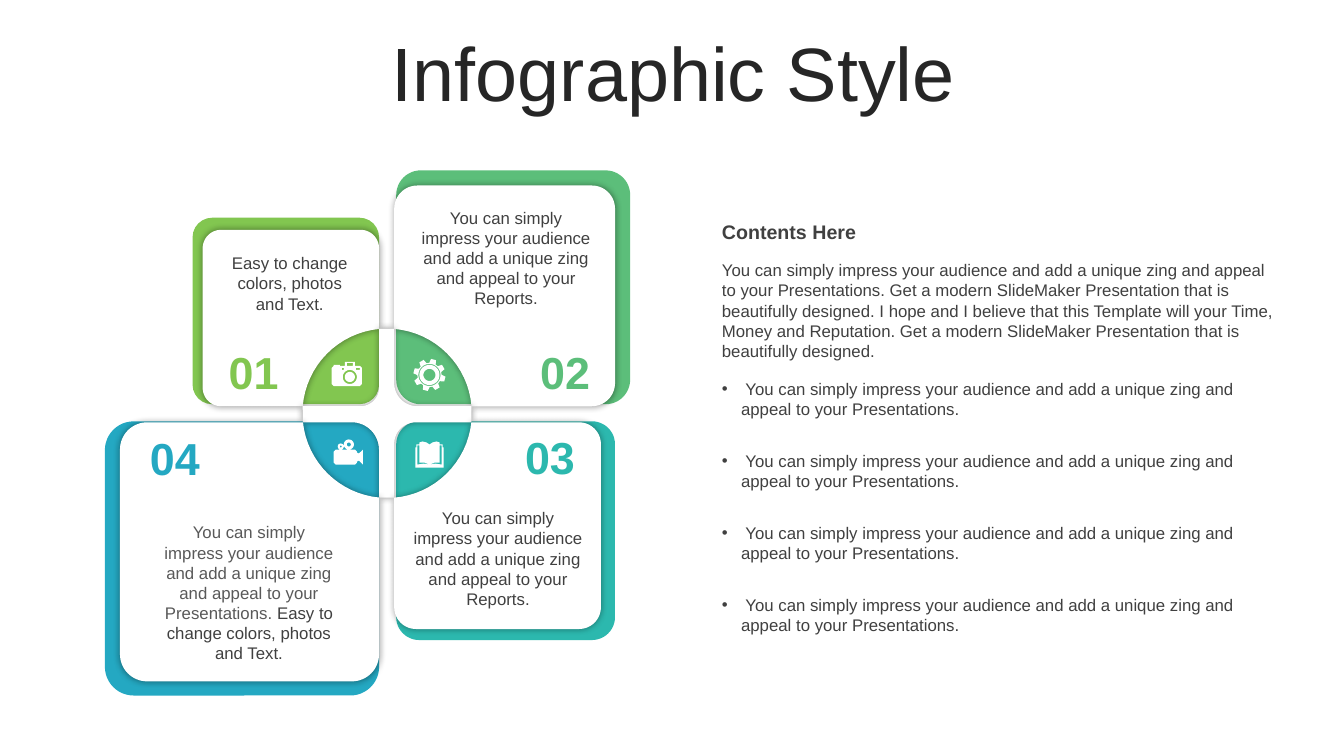
from math import atan2, cos, pi, radians, sin, sqrt

from lxml.etree import SubElement
from pptx import Presentation
from pptx.dml.color import RGBColor as RGB
from pptx.enum.shapes import MSO_SHAPE as SHAPE
from pptx.enum.text import MSO_ANCHOR as ANCHOR, MSO_AUTO_SIZE as AUTO, PP_ALIGN as ALIGN
from pptx.oxml.ns import qn
from pptx.util import Pt

PX = 9144
COLORS = {
    "title": "262626", "text": "404040", "soft": "595959", "white": "FFFFFF", "black": "000000",
    "01": "82C650", "02": "5CBE7A", "03": "2CB8AE", "04": "24A8C2",
}
CORNER = 0.105
HUB_X, HUB_Y, HUB_R = 384, 410, 84
INSET = (12, 5, 12, 5)

REPORTS = "You can simply impress your audience and add a unique zing and appeal to your Reports."
PRESENTATIONS = "You can simply impress your audience and add a unique zing and appeal to your Presentations."
EASY = "Easy to change colors, photos and Text."
INTRO = (
    PRESENTATIONS + " Get a modern SlideMaker Presentation that is beautifully designed. "
    "I hope and I believe that this Template will your Time, Money and Reputation. "
    "Get a modern SlideMaker Presentation that is beautifully designed."
)

PANELS = {
    "01": dict(side=(-1, -1), tile=185, card=175, number=(216, 342), box=(216, 246, 143, 71),
               runs=[(EASY, "text")]),
    "02": dict(side=(1, -1), tile=232, card=219, number=(525, 342), box=(407, 201, 190, 111),
               runs=[(REPORTS, "text")]),
    "03": dict(side=(1, 1), tile=217, card=205, number=(510, 426), box=(399, 499, 190, 111),
               runs=[(REPORTS, "text")]),
    "04": dict(side=(-1, 1), tile=272, card=257, number=(138, 427), box=(152, 513, 190, 151),
               runs=[(PRESENTATIONS + " ", "soft"), (EASY, "text")]),
}
CUT_CORNER = {(1, 1): 0, (-1, 1): 1, (-1, -1): 2, (1, -1): 3}


def arc(cx, cy, radius, start, end, steps=16):
    angles = [start + (end - start) * i / steps for i in range(steps + 1)]
    return [(cx + radius * cos(a), cy + radius * sin(a)) for a in angles]


def circle(cx, cy, radius):
    return arc(cx, cy, radius, 0, 2 * pi, 32)[:-1]


def rect(x, y, w, h):
    return [(x, y), (x + w, y), (x + w, y + h), (x, y + h)]


def square(side, inner_x, inner_y, size):
    x = inner_x if side[0] > 0 else inner_x - size
    y = inner_y if side[1] > 0 else inner_y - size
    return x, y, size, size


def card_outline(side, size):
    inner_x = 391 if side[0] > 0 else 376
    inner_y = 419 if side[1] > 0 else 403
    x, y, w, h = square(side, inner_x, inner_y, size)
    r = CORNER * size
    centres = [(x + r, y + r), (x + w - r, y + r), (x + w - r, y + h - r), (x + r, y + h - r)]
    corners = [arc(cx, cy, r, pi + i * pi / 2, pi + (i + 1) * pi / 2)
               for i, (cx, cy) in enumerate(centres)]
    dx, dy = inner_x - HUB_X, inner_y - HUB_Y
    on_vertical = atan2(side[1] * sqrt(HUB_R ** 2 - dx ** 2), dx)
    on_horizontal = atan2(dy, side[0] * sqrt(HUB_R ** 2 - dy ** 2))
    ends = (on_vertical, on_horizontal) if side[0] == side[1] else (on_horizontal, on_vertical)
    bite = arc(HUB_X, HUB_Y, HUB_R, *ends)
    cut = CUT_CORNER[side]
    hub_part = [bite[-1]] + corners[cut][::-1] + [bite[0]]
    corners[cut] = bite
    return sum(corners, []), hub_part


def gear(cx, cy, teeth=8):
    outline = []
    for i in range(teeth):
        for offset, radius in ((-16, 12), (-9, 16), (9, 16), (16, 12)):
            a = radians(i * 360 / teeth + 15 + offset)
            outline.append((cx + radius * cos(a), cy + radius * sin(a)))
    return [outline] + [circle(cx, cy, r) for r in (11, 10, 6)]


def book(spine=426):
    half = [(426, 441), (429, 439), (433, 438), (436, 439), (436, 441), (439, 441),
            (439, 444), (440, 444), (440, 464)]
    page = [(436, 442), (438, 442), (438, 461), (432, 460), (426, 461), (431, 459), (436, 459)]

    def mirror(points):
        return [(2 * spine - x, y) for x, y in points]

    return [half + mirror(half)[::-1], page, mirror(page)]


CAMERA = [
    [(329, 365), (331, 363), (331, 362), (337, 362), (337, 363), (342, 363), (342, 359),
     (352, 359), (352, 363), (357, 363), (359, 365), (359, 381), (357, 383), (331, 383), (329, 381)],
    circle(347, 374, 7), circle(347, 374, 5),
    rect(339, 365, 2, 2), rect(353, 365, 4, 2), rect(344, 360, 6, 3),
]
VIDEO = [
    [(331, 448), (333, 446), (352, 446), (354, 448), (354, 449), (356, 450), (360, 446),
     (360, 461), (356, 457), (354, 458), (354, 459), (352, 461), (333, 461), (331, 459)],
    circle(346, 441, 5), circle(346, 441, 2), circle(338, 443, 3), circle(338, 443, 1),
]


class Deck:
    def __init__(self, prs):
        self.font = "Arial"
        self.slide = prs.slides.add_slide(prs.slide_layouts[1])
        self.shapes = self.slide.shapes

    def paint(self, sp, color):
        sp.fill.solid()
        sp.fill.fore_color.rgb = RGB.from_string(COLORS[color])
        sp.line.fill.background()
        sp.shadow.inherit = False

    def tile(self, box, color):
        sp = self.shapes.add_shape(SHAPE.ROUNDED_RECTANGLE, *[v * PX for v in box])
        sp.adjustments[0] = CORNER
        self.paint(sp, color)

    def outline(self, contours, shadow=False):
        builder = None
        for contour in contours:
            points = [(round(x * PX), round(y * PX)) for x, y in contour]
            if builder is None:
                builder = self.shapes.build_freeform(*points[0])
            else:
                builder.move_to(*points[0])
            builder.add_line_segments(points[1:], close=True)
        sp = builder.convert_to_shape()
        self.paint(sp, "white")
        if shadow:
            effects = sp._element.spPr.find(qn("a:effectLst"))
            outer = SubElement(effects, qn("a:outerShdw"), blurRad=str(Pt(5)), dist="0", dir="0",
                               algn="ctr", rotWithShape="0")
            color = SubElement(outer, qn("a:srgbClr"), val=COLORS["black"])
            SubElement(color, qn("a:alpha"), val="40000")

    def set_text(self, sp, box, paragraphs, size=12, bold=False, inset=(10, 5, 10, 5),
                 anchor=ANCHOR.TOP, **para):
        for name, v in zip(("left", "top", "width", "height"), box):
            setattr(sp, name, v * PX)
        tf = sp.text_frame
        frame = dict(word_wrap=True, auto_size=AUTO.NONE, vertical_anchor=anchor)
        frame.update(zip(("margin_left", "margin_top", "margin_right", "margin_bottom"),
                         [v * PX for v in inset]))
        for name, v in frame.items():
            setattr(tf, name, v)
        for i, runs in enumerate(paragraphs):
            p = tf.add_paragraph() if i else tf.paragraphs[0]
            for name, v in para.items():
                setattr(p, name, v)
            for text, color in runs:
                r = p.add_run()
                r.text = text
                for name, v in dict(name=self.font, size=Pt(size), bold=bold).items():
                    setattr(r.font, name, v)
                r.font.color.rgb = RGB.from_string(COLORS[color])

    def title(self, text, box):
        self.set_text(self.shapes.title, box, [[(text, "title")]], size=54, anchor=ANCHOR.MIDDLE,
                      alignment=ALIGN.CENTER, line_spacing=0.9, space_before=Pt(10))

    def text(self, box, runs, **style):
        self.set_text(self.shapes.add_textbox(0, 0, 0, 0), box, [runs], **style)

    def bullets(self, box, items, gap):
        sp = self.slide.placeholders[1]
        self.set_text(sp, box, [[(item, "text")] for item in items], inset=INSET,
                      alignment=ALIGN.LEFT, space_before=Pt(0), space_after=Pt(gap))
        for p in sp.text_frame.paragraphs:
            pPr = p._p.get_or_add_pPr()
            pPr.set("marL", str(19 * PX))
            pPr.set("indent", str(-19 * PX))
            SubElement(pPr, qn("a:buFont"), typeface=self.font)
            SubElement(pPr, qn("a:buChar"), char="•")


def main():
    prs = Presentation()
    prs.slide_width, prs.slide_height = 1333 * PX, 750 * PX
    s = Deck(prs)
    s.title("Infographic Style", (35, 37, 1266, 79))

    for number, panel in PANELS.items():
        side = panel["side"]
        inner = 393 if side[0] > 0 else 376, 418 if side[1] > 0 else 401
        s.tile(square(side, *inner, panel["tile"]), number)

    outlines = {n: card_outline(panel["side"], panel["card"]) for n, panel in PANELS.items()}
    hub = sum((outlines[n][1] for n in ("02", "03", "04", "01")), [])
    cards = {n: card for n, (card, _) in outlines.items()}
    for contour in (cards["02"], cards["01"], hub, cards["04"], cards["03"]):
        s.outline([contour], shadow=True)

    for number, panel in PANELS.items():
        s.text(panel["box"], panel["runs"], alignment=ALIGN.CENTER)
        s.text((*panel["number"], 71, 54), [(number, number)], size=32, bold=True,
               inset=(0, 0, 0, 0), anchor=ANCHOR.MIDDLE, alignment=ALIGN.CENTER)

    s.text((704, 213, 574, 34), [("Contents Here", "text")], size=14, bold=True, inset=INSET,
           anchor=ANCHOR.MIDDLE)
    s.text((704, 253, 574, 111), [(INTRO, "text")], inset=INSET)
    s.bullets((704, 371, 574, 264), [" " + PRESENTATIONS] * 4, gap=22.6)

    for icon in (gear(426, 372), CAMERA, VIDEO, book()):
        s.outline(icon)
    prs.save("out.pptx")


if __name__ == "__main__":
    main()
